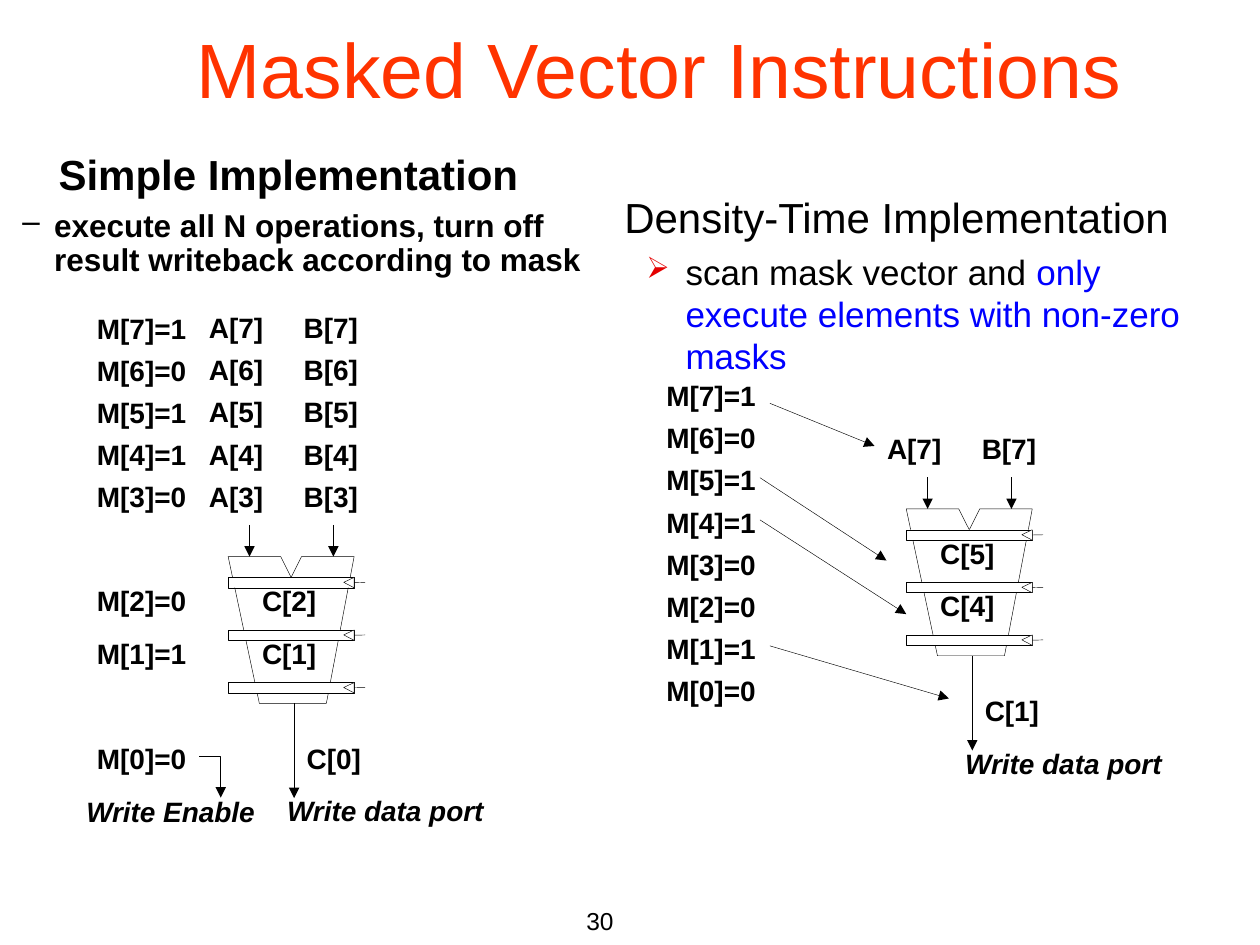
from pptx import Presentation
from pptx.dml.color import RGBColor
from pptx.enum.shapes import MSO_CONNECTOR, MSO_SHAPE
from pptx.enum.text import MSO_ANCHOR, MSO_AUTO_SIZE, PP_ALIGN
from pptx.oxml.ns import qn
from pptx.util import Cm, Pt
from lxml import etree

STRAIGHT, RECT = MSO_CONNECTOR.STRAIGHT, MSO_SHAPE.RECTANGLE
MIDDLE, GROW = MSO_ANCHOR.MIDDLE, MSO_AUTO_SIZE.SHAPE_TO_FIT_TEXT
LEFT, CENTER, RIGHT = PP_ALIGN.LEFT, PP_ALIGN.CENTER, PP_ALIGN.RIGHT
BLACK, WHITE = RGBColor(0, 0, 0), RGBColor(255, 255, 255)
ORANGE, BLUE = RGBColor(0xFF, 0x33, 0x00), RGBColor(0, 0, 255)
FONT = "Arial"
THIN = Pt(0.25)
ROW, STAGE = 0.85, 1.06  # cm between mask rows and between pipeline stages

prs = Presentation()
prs.slide_width, prs.slide_height = Cm(25.4), Cm(19.05)
slide = prs.slides.add_slide(prs.slide_layouts[5])
shapes = slide.shapes


def label(text, x, y, width, italic=False):
    box = shapes.add_textbox(Cm(x), Cm(y), Cm(width), Cm(0.94))
    frame = box.text_frame
    frame.text = text
    frame.word_wrap, frame.auto_size = False, GROW
    frame.vertical_anchor = MIDDLE
    para = frame.paragraphs[0]
    para.alignment = CENTER
    font = para.runs[0].font
    font.name, font.size, font.bold, font.italic = FONT, Pt(16), True, italic
    font.color.rgb = BLACK


def draw(points, closed=False, fill=None, arrow=False):
    """Draw a connector through two points, or a freeform through more."""
    points = [(Cm(x), Cm(y)) for x, y in points]
    if len(points) == 2:
        shape = shapes.add_connector(STRAIGHT, *points[0], *points[1])
        etree.SubElement(shape._element.spPr, qn("a:effectLst"))
    else:
        outline = shapes.build_freeform(*points[0])
        outline.add_line_segments(points[1:], close=closed)
        shape = outline.convert_to_shape()
        shape.shadow.inherit = False
        if fill is None:
            shape.fill.background()
        else:
            shape.fill.solid()
            shape.fill.fore_color.rgb = fill
    shape.line.width = THIN
    shape.line.color.rgb = BLACK
    if arrow:
        etree.SubElement(shape.line._get_or_add_ln(), qn("a:tailEnd"), type="triangle")
    return shape


# Title
title = shapes.title
title.left, title.top, title.width, title.height = Cm(3.71), Cm(0), Cm(21.01), Cm(2.72)
title.fill.solid()
title.fill.fore_color.rgb = WHITE
title.text_frame.text = "Masked Vector Instructions"
title.text_frame.vertical_anchor = MIDDLE
head = title.text_frame.paragraphs[0]
head.alignment = LEFT
font = head.runs[0].font
font.name, font.size, font.color.rgb = FONT, Pt(44), ORANGE

# Page number
page = shapes.add_textbox(Cm(7.34), Cm(18.14), Cm(5.28), Cm(1.27))
page.text_frame.word_wrap = True
page.text_frame.text = "30"
para = page.text_frame.paragraphs[0]
para.alignment = RIGHT
font = para.runs[0].font
font.name, font.size, font.color.rgb = FONT, Pt(14), BLACK

# Heading and point of each half:
# place, heading, runs of the point, size, bold, line spacing, gap, margin, hang, bullet
blocks = [
    ((-1.07, 2.97, 13.77, 2.77), "Simple Implementation",
     [("execute all N operations, turn off result writeback according to mask", BLACK)],
     18, True, 0.9, 6, 1.91, 0.64, "–", None),
    ((11.51, 3.73, 13.13, 3.99), "Density-Time Implementation",
     [("scan mask vector and ", BLACK),
      ("only execute elements with non-zero masks", BLUE)],
     20, False, 1.0, 5, 2.06, 0.79, "➢", "E40000"),
]
for place, heading, parts, size, bold, spacing, gap, margin, hang, bullet, tint in blocks:
    frame = shapes.add_textbox(*[Cm(v) for v in place]).text_frame
    frame.word_wrap, frame.auto_size = True, GROW
    frame.vertical_anchor = MIDDLE
    frame.text = heading
    top, point = frame.paragraphs[0], frame.add_paragraph()
    top.alignment, point.alignment, point.level = CENTER, LEFT, 1
    for text, color in parts:
        run = point.add_run()
        run.text = text
        run.font.color.rgb = color
    top.runs[0].font.color.rgb = BLACK
    for para, points in ((top, 24), (point, size)):
        para.line_spacing, para.space_before = spacing, Pt(gap)
        for run in para.runs:
            run.font.name, run.font.size, run.font.bold = FONT, Pt(points), bold
    props = point._p.get_or_add_pPr()
    props.set("marL", str(Cm(margin)))
    props.set("indent", str(-Cm(hang)))
    if tint:
        etree.SubElement(etree.SubElement(props, qn("a:buClr")), qn("a:srgbClr"), val=tint)
        etree.SubElement(props, qn("a:buSzPct"), val="85000")
    etree.SubElement(props, qn("a:buChar"), char=bullet)

# Pipelines: origin, waiting elements from the bottom up, results
CONE = [(0, 0), (0.63, 2.96), (1.98, 2.96), (2.54, 0), (1.48, 0), (1.27, 0.42), (1.06, 0)]
NOTCH = [(2.54, 0.21), (2.33, 0.1), (2.54, 0)]
pipes = [
    (4.6, 11.22, [3, 4, 5, 6, 7], [2, 1, 0]),
    (18.27, 10.26, [7], [5, 4, 1]),
]
for left, top, queue, results in pipes:
    draw([(left + x, top + y) for x, y in CONE], closed=True)
    for stage in range(3):
        y = top + 0.42 + stage * STAGE
        latch = shapes.add_shape(RECT, Cm(left), Cm(y), Cm(2.54), Cm(0.21))
        latch.shadow.inherit = False
        latch.fill.solid()
        latch.fill.fore_color.rgb = WHITE
        latch.line.color.rgb, latch.line.width = BLACK, THIN
        draw([(left + dx, y + dy) for dx, dy in NOTCH], closed=True, fill=WHITE)
        clock = draw([(left + 2.54, y + 0.1), (left + 2.76, y + 0.1)])
        clock.begin_connect(latch, 3)
    for n, (dx, dy) in zip(results, [(0.43, 0.42), (0.43, 0.42 + STAGE), (1.33, 3.59)]):
        label(f"C[{n}]", left + dx, top + dy, 1.6)
    draw([(left + 1.33, top + 2.96), (left + 1.33, top + 4.87)], arrow=True)
    label("Write data port", left + 0.92, top + 4.65, 4.5, italic=True)
    for name, dx, tip in (("A", -0.64, 0.43), ("B", 1.27, 2.12)):
        draw([(left + tip, top - 0.64), (left + tip, top)], arrow=True)
        for row, n in enumerate(queue):
            label(f"{name}[{n}]", left + dx, top - 1.69 - row * ROW, 1.6)

# Mask bits, from M[7] down to M[0]
MASK = [1, 0, 1, 1, 0, 0, 1, 0]
simple = [6.14 + row * ROW for row in range(5)] + [11.64, 12.7, 14.82]
dense = [7.5 + row * ROW for row in range(8)]
for x, rows in ((1.7, simple), (13.18, dense)):
    for i, (bit, y) in enumerate(zip(MASK, rows)):
        label(f"M[{7 - i}]={bit}", x, y, 2.31)

# Write enable of the simple version
draw([(4.02, 15.24), (4.45, 15.24), (4.45, 16.08)], arrow=True)
label("Write Enable", 1.47, 15.88, 3.94, italic=True)

# Set mask bits lead to their elements
for start, end in [
    ((15.52, 8.13), (17.63, 8.99)),
    ((15.32, 9.63), (17.87, 11.3)),
    ((15.32, 10.48), (18.27, 12.38)),
    ((15.52, 13.02), (19.13, 14.08)),
]:
    draw([start, end], arrow=True)

prs.save("out.pptx")
